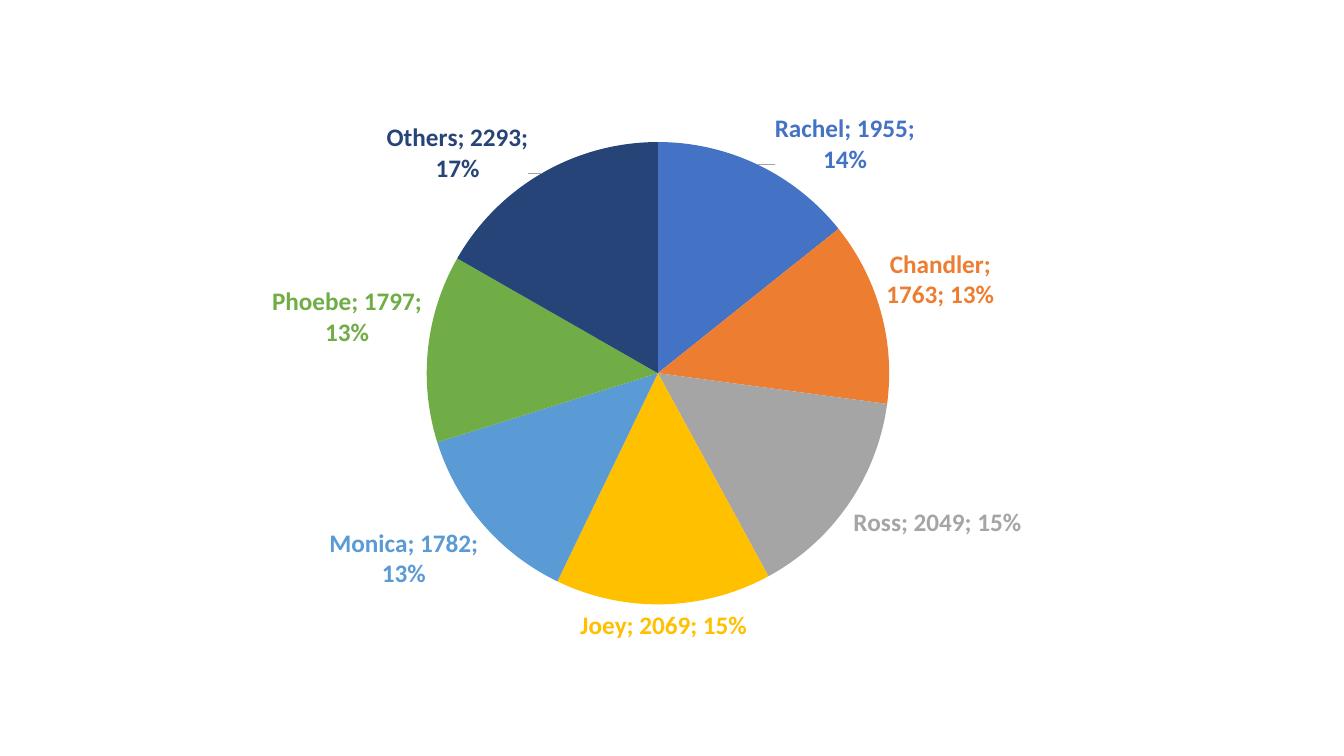
from pptx import Presentation
from pptx.chart.data import CategoryChartData
from pptx.dml.color import RGBColor
from pptx.enum.chart import XL_CHART_TYPE as ChartType, XL_LABEL_POSITION as LabelPos
from pptx.oxml import parse_xml
from pptx.oxml.ns import nsdecls
from pptx.util import Inches, Pt

FONT = "Calibri"
LINES = {"Rachel": 1955, "Chandler": 1763, "Ross": 2049, "Joey": 2069,
         "Monica": 1782, "Phoebe": 1797, "Others": 2293}
COLORS = {"Rachel": "4472C4", "Chandler": "ED7D31", "Ross": "A5A5A5",
          "Joey": "FFC000", "Monica": "5B9BD5", "Phoebe": "70AD47",
          "Others": "264478", "text": "000000", "leader": "A6A6A6"}
LABEL_SHIFTS = {"Rachel": (0.016, 0.026), "Others": (-0.012, 0.027)}
CHART_BOX = (1.91, 0.74, 8.76, 5.77)
PIE_BOX = (4.23, 1.41, 4.59, 4.59)


def rgb(name):
    return RGBColor.from_string(COLORS[name])


def c_xml(tag, inner):
    return parse_xml(f'<c:{tag} {nsdecls("c", "a")}>{inner}</c:{tag}>')


def layout(**values):
    inner = "".join(f'<c:{k} val="{v}"/>' for k, v in values.items())
    return c_xml("layout", f"<c:manualLayout>{inner}</c:manualLayout>")


def format_labels(labels, name):
    labels.font.size = Pt(18)
    labels.font.bold = True
    labels.font.name = FONT
    labels.font.color.rgb = rgb(name)
    labels.position = LabelPos.OUTSIDE_END


def place_pie(chart):
    left, top, width, height = CHART_BOX
    x, y, w, h = PIE_BOX
    area = chart._chartSpace.xpath(".//c:plotArea")[0]
    for old in area.xpath("./c:layout"):
        area.remove(old)
    area.insert(0, layout(
        layoutTarget="inner", xMode="edge", yMode="edge",
        x=round((x - left) / width, 3), y=round((y - top) / height, 3),
        w=round(w / width, 3), h=round(h / height, 3)))


def add_pie(s):
    data = CategoryChartData()
    data.categories = list(LINES)
    data.add_series("Series 1", list(LINES.values()))
    frame = s.shapes.add_chart(ChartType.PIE, *map(Inches, CHART_BOX), data)
    chart = frame.chart
    chart.has_legend = False
    chart.has_title = False
    chart.font.size = Pt(10)
    chart.font.name = FONT
    chart.font.color.rgb = rgb("text")
    chart.plots[0].vary_by_categories = True
    place_pie(chart)

    series = chart.plots[0].series[0]
    labels = series.data_labels
    format_labels(labels, "Rachel")
    labels.show_value = True
    labels.show_percentage = True
    labels.show_category_name = True
    for i, name in enumerate(LINES):
        point = series.points[i]
        point.format.fill.solid()
        point.format.fill.fore_color.rgb = rgb(name)
        format_labels(point.data_label, name)

    root = chart._chartSpace
    for name, label in zip(LINES, root.xpath(".//c:dLbl")):
        for flag in label.xpath("./c:showCatName | ./c:showPercent"):
            flag.set("val", "1")
        label.append(c_xml("separator", "; "))
        if name in LABEL_SHIFTS:
            dx, dy = LABEL_SHIFTS[name]
            label.insert(1, layout(x=dx, y=dy))

    group = root.xpath(".//c:ser/c:dLbls")[0]
    for old in group.xpath("./c:showLeaderLines | ./c:leaderLines"):
        group.remove(old)
    group.append(c_xml("separator", "; "))
    group.append(parse_xml(f'<c:showLeaderLines {nsdecls("c")} val="1"/>'))
    group.append(c_xml("leaderLines", (
        '<c:spPr><a:ln w="9525"><a:solidFill>'
        f'<a:srgbClr val="{COLORS["leader"]}"/>'
        '</a:solidFill></a:ln></c:spPr>')))


def main():
    prs = Presentation()
    prs.slide_width, prs.slide_height = Inches(13.33), Inches(7.5)
    s = prs.slides.add_slide(prs.slide_layouts[6])
    add_pie(s)
    prs.save("out.pptx")


if __name__ == "__main__":
    main()
